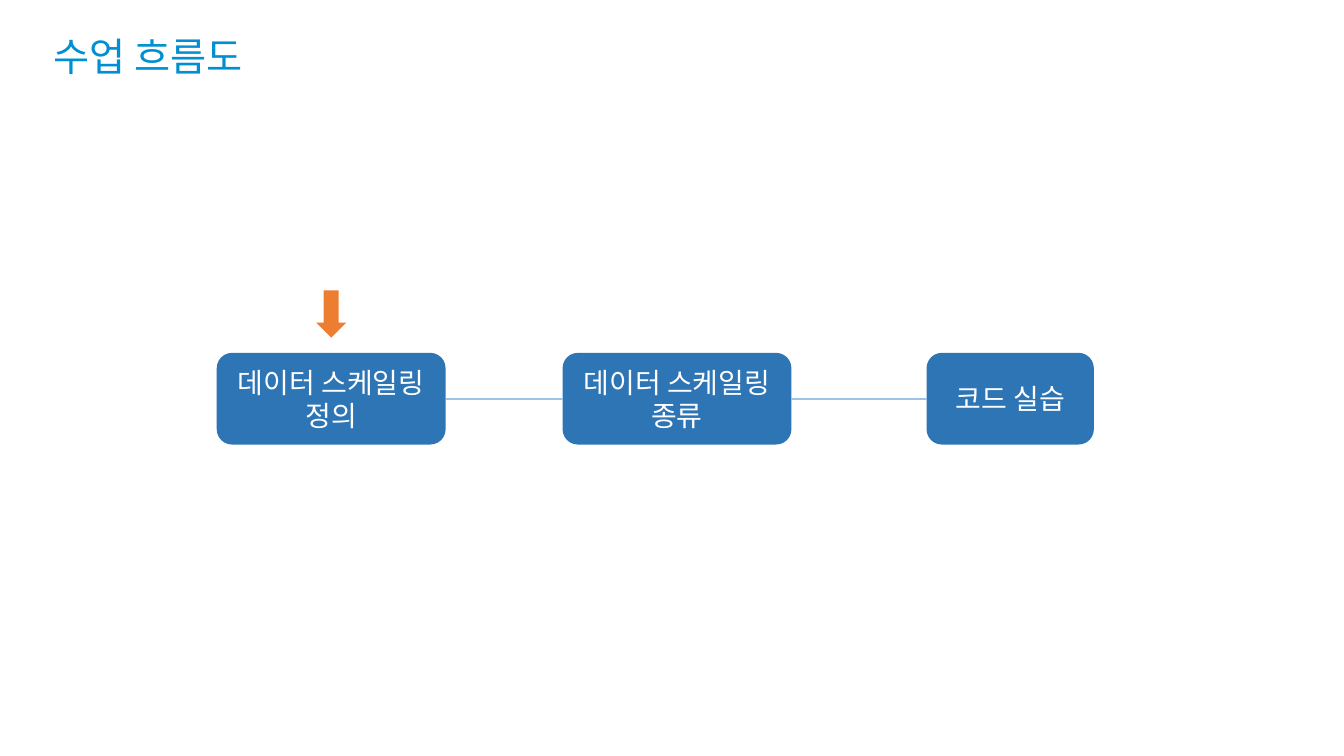
"""Build the lesson flow slide: three linked steps with a marker on the current one."""
from dataclasses import dataclass
from itertools import pairwise

from lxml import etree
from pptx import Presentation
from pptx.dml.color import RGBColor
from pptx.enum.shapes import MSO_CONNECTOR, MSO_SHAPE
from pptx.enum.text import MSO_ANCHOR, PP_ALIGN
from pptx.oxml.ns import qn
from pptx.util import Inches, Pt

ROUNDED = MSO_SHAPE.ROUNDED_RECTANGLE
DOWN_ARROW = MSO_SHAPE.DOWN_ARROW
STRAIGHT = MSO_CONNECTOR.STRAIGHT
MIDDLE = MSO_ANCHOR.MIDDLE
LEFT, CENTER = PP_ALIGN.LEFT, PP_ALIGN.CENTER

WIDTH, HEIGHT = Inches(13.33), Inches(7.5)
COLUMN, ROW = WIDTH / 100, HEIGHT / 100
STEP_TOP, STEP_ROWS = 46.67, 12.13
MARKER_COLUMNS, MARKER_ROWS, MARKER_GAP = 2.25, 6.27, 2


@dataclass(frozen=True)
class Theme:
    font: str = "Noto Sans CJK KR"
    title: str = "0090D1"
    step: str = "2E75B6"
    step_text: str = "FFFFFF"
    link: str = "9DC3E6"
    marker: str = "ED7D31"
    title_size: int = 28
    step_size: int = 20
    link_width: float = 1.5


@dataclass(frozen=True)
class Box:
    left: float
    top: float
    columns: float
    rows: float

    @property
    def right(self) -> float:
        return self.left + self.columns

    @property
    def center(self) -> float:
        return self.left + self.columns / 2

    @property
    def middle(self) -> float:
        return self.top + self.rows / 2

    def emu(self) -> tuple[int, int, int, int]:
        return (round(self.left * COLUMN), round(self.top * ROW),
                round(self.columns * COLUMN), round(self.rows * ROW))


@dataclass(frozen=True)
class Step:
    text: str
    left: float
    columns: float

    @property
    def box(self) -> Box:
        return Box(self.left, STEP_TOP, self.columns, STEP_ROWS)


THEME = Theme()
TITLE_BOX = Box(3.23, 2.93, 86.27, 9.6)
STEPS = (
    Step("데이터 스케일링 정의", 16.13, 17.03),
    Step("데이터 스케일링 종류", 41.86, 17.03),
    Step("코드 실습", 68.94, 12.45),
)


def write(sp, text: str, size: int, color: str, align: PP_ALIGN) -> None:
    tf = sp.text_frame
    tf.word_wrap = True
    tf.vertical_anchor = MIDDLE
    p = tf.paragraphs[0]
    p.text = text
    p.alignment = align
    p.font.size = Pt(size)
    p.font.name = THEME.font
    p.font.color.rgb = RGBColor.from_string(color)
    latin = next(p._p.iter(qn("a:latin")))
    ea = etree.Element(qn("a:ea"), typeface=THEME.font)
    latin.addnext(ea)


def add_title(s, text: str) -> None:
    sp = s.shapes.add_textbox(*TITLE_BOX.emu())
    write(sp, text, THEME.title_size, THEME.title, LEFT)
    sp.text_frame.paragraphs[0].line_spacing = 0.9


def add_filled(s, kind: MSO_SHAPE, box: Box, color: str):
    sp = s.shapes.add_shape(kind, *box.emu())
    sp.shadow.inherit = False
    sp.fill.solid()
    sp.fill.fore_color.rgb = RGBColor.from_string(color)
    sp.line.fill.background()
    return sp


def add_step(s, step: Step):
    sp = add_filled(s, ROUNDED, step.box, THEME.step)
    write(sp, step.text, THEME.step_size, THEME.step_text, CENTER)
    return sp


def add_link(s, start: Box, end: Box) -> None:
    y = round(start.middle * ROW)
    line = s.shapes.add_connector(
        STRAIGHT, round(start.right * COLUMN), y, round(end.left * COLUMN), y)
    line.line.color.rgb = RGBColor.from_string(THEME.link)
    line.line.width = Pt(THEME.link_width)
    etree.SubElement(line._element.spPr, qn("a:effectLst"))


def add_marker(s, target: Box) -> None:
    box = Box(target.center - MARKER_COLUMNS / 2,
              target.top - MARKER_GAP - MARKER_ROWS,
              MARKER_COLUMNS, MARKER_ROWS)
    add_filled(s, DOWN_ARROW, box, THEME.marker)


def main() -> None:
    prs = Presentation()
    prs.slide_width, prs.slide_height = WIDTH, HEIGHT
    s = prs.slides.add_slide(prs.slide_layouts[6])
    add_title(s, "수업 흐름도")
    for step in STEPS:
        add_step(s, step)
    for start, end in pairwise(STEPS):
        add_link(s, start.box, end.box)
    add_marker(s, STEPS[0].box)
    prs.save("out.pptx")


main()
